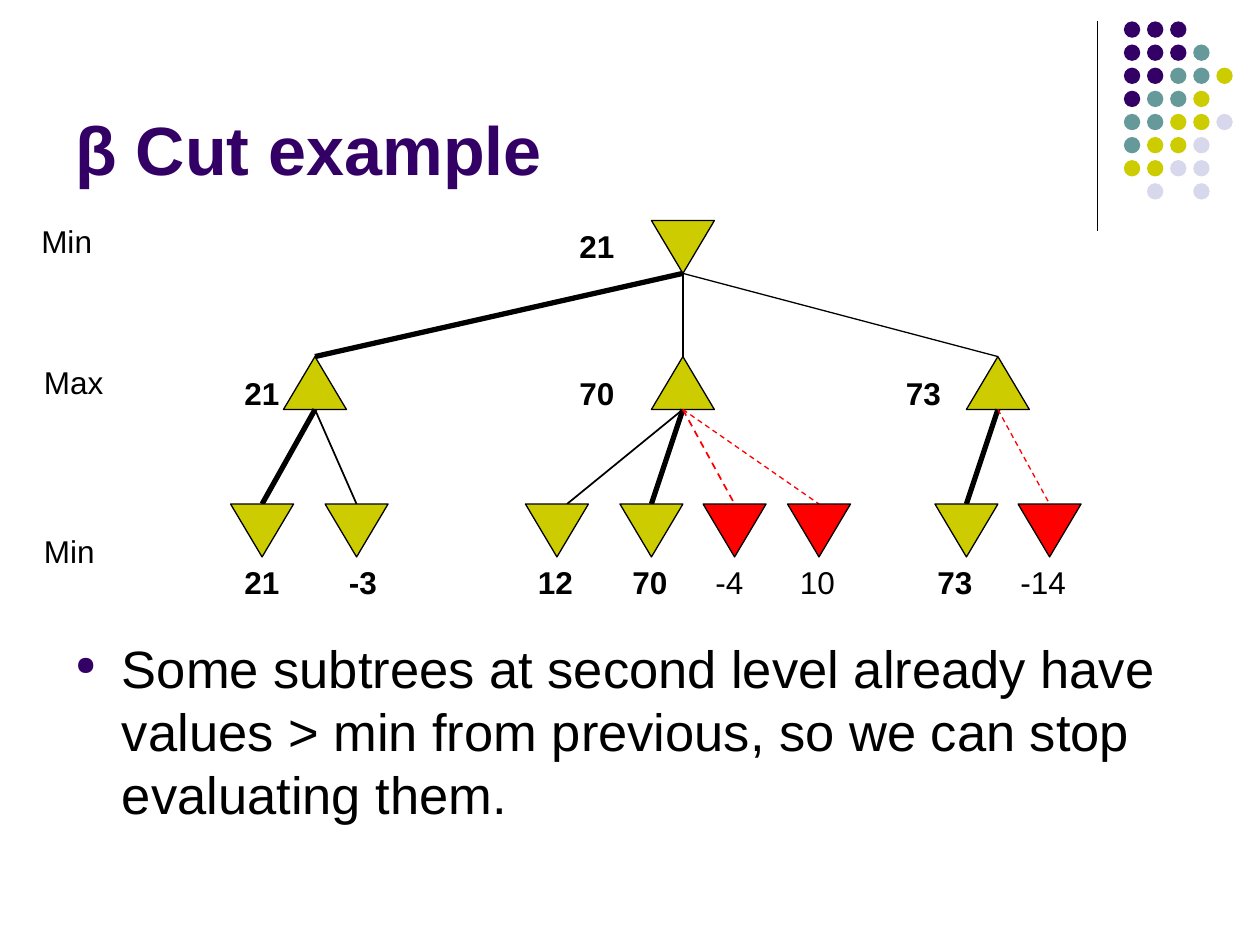
"""Build a slide showing a beta cut in a min-max tree."""
from lxml import etree
from pptx import Presentation
from pptx.dml.color import RGBColor
from pptx.enum import dml, shapes, text
from pptx.oxml import ns
from pptx.util import Inches, Pt

INK, GOLD, RED, PLUM = "000000", "CCCC00", "FF0000", "330066"
TITLE = "β Cut example"
NOTE = ("Some subtrees at second level already have values > min "
        "from previous, so we can stop evaluating them.")
DOTS = ["PPP", "PPPT", "PPTTG", "PTTG", "TTGGL", "TGGL", "GGLL", " L L"]
HUES = {"P": PLUM, "T": "669999", "G": GOLD, "L": "D8D8EC"}
LEVELS = [("Min", 0.23, 1.71), ("Max", 0.25, 2.83), ("Min", 0.25, 4.17)]

ROOT = ("21", 5.42, 4.5)
# value, centre, label left, edge width, leaves (value, centre, label left, edge end, edge width, cut)
TREE = [
    ("21", 2.5, 1.84, 3, [("21", 2.08, 1.84, 2.08, 3, False),
                          ("-3", 2.83, 2.67, 2.83, 1, False)]),
    ("70", 5.42, 4.5, 1, [("12", 4.42, 4.17, 4.5, 1, False),
                          ("70", 5.17, 4.92, 5.17, 3, False),
                          ("-4", 5.83, 5.58, 5.83, 1, True),
                          ("10", 6.5, 6.25, 6.5, 0.75, True)]),
    ("73", 7.92, 7.09, 0.75, [("73", 7.67, 7.34, 7.67, 3, False),
                              ("-14", 8.33, 8, 8.33, 0.75, True)]),
]
TOPS = [1.75, 2.83, 4]
WIDE, HIGH = 0.5, 0.42

prs = Presentation()
prs.slide_width, prs.slide_height = Inches(10), Inches(7.5)
slide = prs.slides.add_slide(prs.slide_layouts[6])


def paint(part, hue):
    part.rgb = RGBColor.from_string(hue)


def shape(kind, x, y, w, h, hue, edge=None):
    item = slide.shapes.add_shape(kind, *map(Inches, (x, y, w, h)))
    item.shadow.inherit = False
    item.fill.solid()
    paint(item.fill.fore_color, hue)
    if edge:
        paint(item.line.color, edge)
        item.line.width = Pt(0.75)
    else:
        item.line.fill.background()
    return item


def line(x1, y1, x2, y2, width=0.75, cut=False):
    item = slide.shapes.add_connector(
        shapes.MSO_CONNECTOR.STRAIGHT, *map(Inches, (x1, y1, x2, y2)))
    paint(item.line.color, RED if cut else INK)
    item.line.width = Pt(width)
    if cut:
        item.line.dash_style = dml.MSO_LINE.DASH
    etree.SubElement(item._element.spPr, ns.qn("a:effectLst"))


def write(words, x, y, w, h, size=18, hue=INK, bold=False, wrap=False):
    frame = slide.shapes.add_textbox(*map(Inches, (x, y, w, h))).text_frame
    frame.word_wrap = wrap
    frame.text = words
    font = frame.paragraphs[0].runs[0].font
    font.name, font.size, font.bold = "Arial", Pt(size), bold
    paint(font.color, hue)
    return frame


def node(x, y, down, hue=GOLD):
    item = shape(shapes.MSO_SHAPE.ISOSCELES_TRIANGLE,
                 x - WIDE / 2, y, WIDE, HIGH, hue, INK)
    item.rotation = 180 if down else 0


def label(words, x, y, bold=True):
    write(words, x, y, 0.3 + 0.09 * len(words), 0.4, bold=bold)


def bullet(para):
    props = para._p.get_or_add_pPr()
    props.set("marL", str(Inches(0.37)))
    props.set("indent", str(-Inches(0.37)))
    tint = etree.SubElement(props, ns.qn("a:buClr"))
    etree.SubElement(tint, ns.qn("a:srgbClr"), val=PLUM)
    etree.SubElement(props, ns.qn("a:buSzPct"), val="50000")
    etree.SubElement(props, ns.qn("a:buChar"), char="●")


line(8.71, 0.17, 8.71, 1.83)
for row, marks in enumerate(DOTS):
    for col, mark in enumerate(marks):
        if mark in HUES:
            shape(shapes.MSO_SHAPE.OVAL, 8.92 + 0.1835 * col,
                  0.17 + 0.1835 * row, 0.13, 0.13, HUES[mark])

head = write(TITLE, 0.5, 0.13, 8.25, 1.42, 39, PLUM, True, True)
head.vertical_anchor = text.MSO_ANCHOR.BOTTOM
para = write(NOTE, 0.5, 5, 9, 1.7, 30, wrap=True).paragraphs[0]
para.space_before, para.line_spacing = Pt(7.5), Pt(36)
bullet(para)

for name, x, y in LEVELS:
    write(name, x, y, 0.7, 0.4)

top, mid, low = TOPS
value, root, left = ROOT
label(value, left, top)
for value, x, left, width, leaves in TREE:
    line(root, top + HIGH, x, mid, width)
    node(x, mid, False)
    label(value, left, mid + 0.09)
    for value, spot, left, end, width, cut in leaves:
        line(x, mid + HIGH, end, low, width, cut)
        node(spot, low, True, RED if cut else GOLD)
        label(value, left, low + HIGH, not cut)
node(root, top, True)

prs.save("out.pptx")
